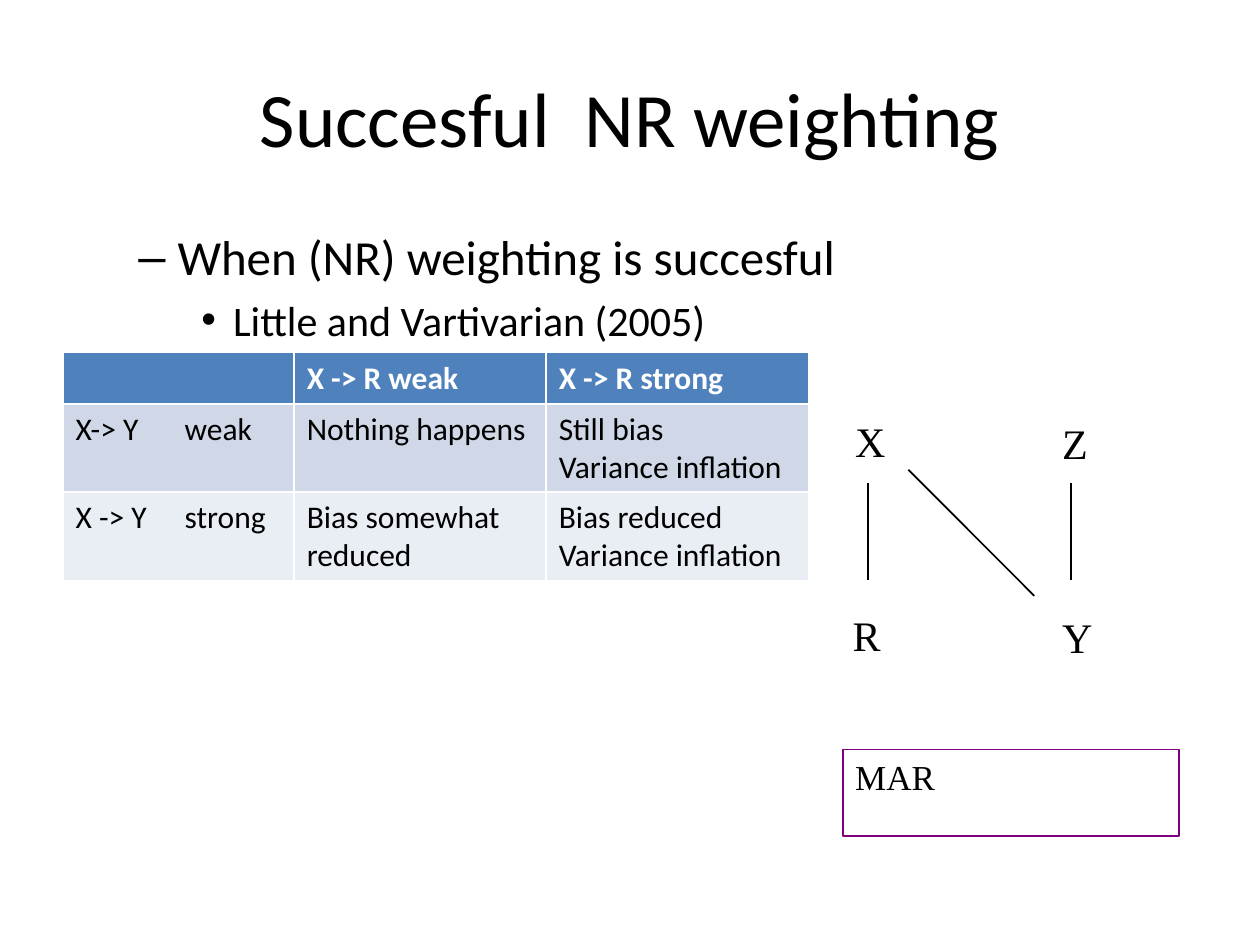
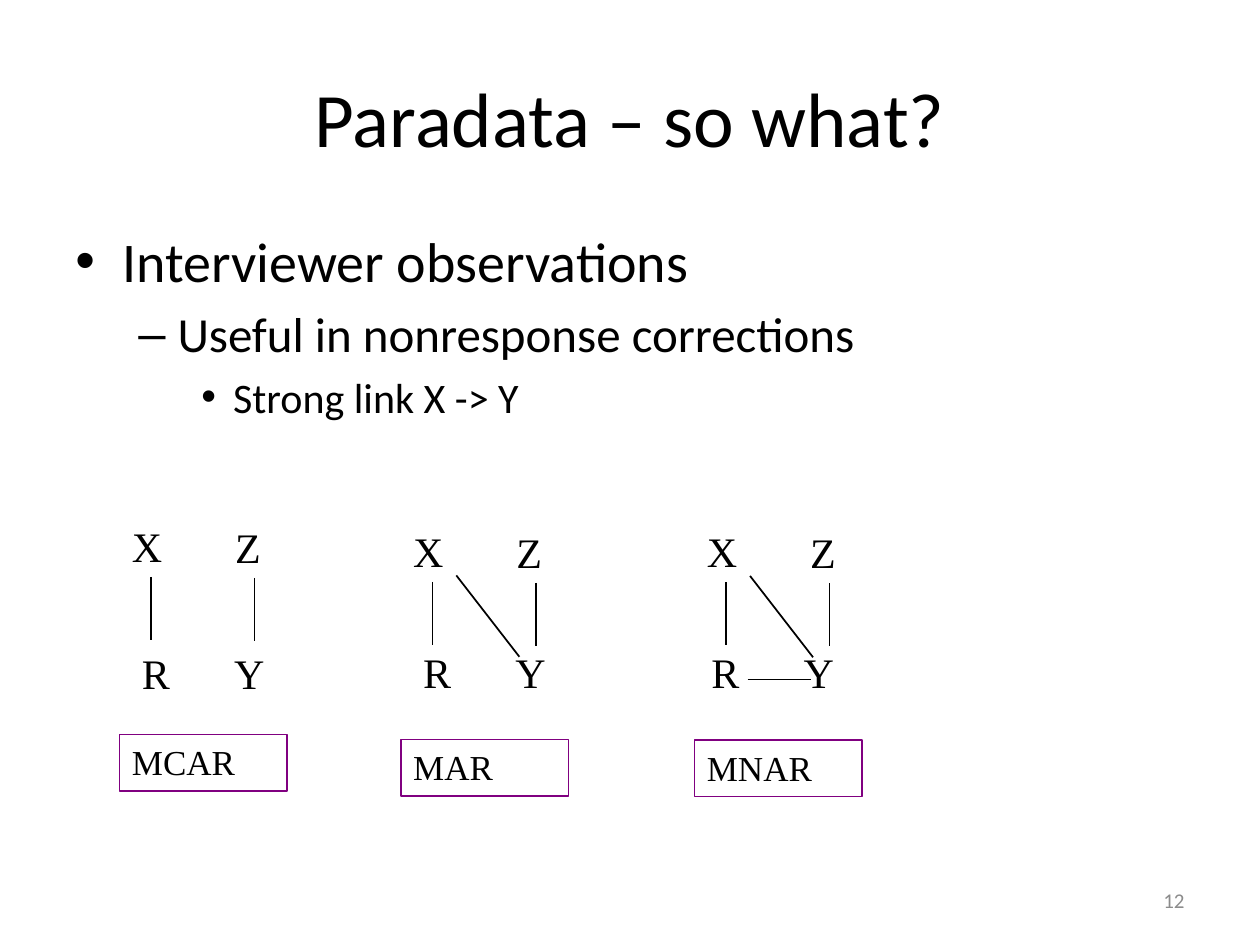
from dataclasses import dataclass, replace

from lxml import etree
from pptx import Presentation
from pptx.dml.color import RGBColor
from pptx.enum.shapes import MSO_CONNECTOR, MSO_SHAPE
from pptx.enum.text import MSO_ANCHOR, PP_ALIGN
from pptx.oxml.ns import qn
from pptx.util import Cm, Pt

LINE = MSO_CONNECTOR.STRAIGHT
RECT = MSO_SHAPE.RECTANGLE
TOP, MIDDLE = MSO_ANCHOR.TOP, MSO_ANCHOR.MIDDLE
LEFT, CENTER, RIGHT = PP_ALIGN.LEFT, PP_ALIGN.CENTER, PP_ALIGN.RIGHT
TITLE_ONLY = 5


def rgb(code):
    return RGBColor.from_string(code)


@dataclass(frozen=True)
class Theme:
    sans: str = "Calibri"
    serif: str = "Times New Roman"
    ink: RGBColor = rgb("000000")
    paper: RGBColor = rgb("FFFFFF")
    frame: RGBColor = rgb("800080")
    grey: RGBColor = rgb("8C8C8C")
    head: RGBColor = rgb("4F81BD")
    bands: tuple = (rgb("D0D8E8"), rgb("E9EDF4"))
    title: int = 44
    body: tuple = (32, 28, 24)
    node: int = 24
    label: int = 20
    cell: int = 18
    page: int = 12


@dataclass(frozen=True)
class Net:
    """Places in cm, measured from the corner of node X."""
    nodes: dict
    links: dict
    box: tuple
    wide: float


THEME = Theme()

# Bullet sign, left margin and hanging indent in cm, by outline level
MARKS = (("•", 0.95, 0.95), ("–", 2.06, 0.79), ("•", 3.18, 0.64))

LARGE = Net(
    nodes={"X": (0, 0), "Z": (4.17, 0.03), "R": (-0.05, 3.91), "Y": (4.17, 3.94)},
    links={"XR": (0.51, 1.47, 0.51, 3.43),
           "ZY": (4.6, 1.47, 4.6, 3.43),
           "XY": (1.32, 1.21, 3.86, 3.75)},
    box=(0, 6.85, 6.78, 1.75),
    wide=2.97)

SMALL = Net(
    nodes={"X": (0, 0), "Z": (2.08, 0.02), "R": (0.2, 2.44), "Y": (2.06, 2.44)},
    links={"XR": (0.64, 1.27, 0.64, 2.54),
           "ZY": (2.72, 1.29, 2.72, 2.56),
           "XY": (1.12, 1.14, 2.39, 2.78),
           "RY": (1.07, 3.23, 2.34, 3.23)},
    box=(0, 4.45, 3.38, 1.14),
    wide=1.47)


def cms(*sizes):
    return [Cm(size) for size in sizes]


def style(para, size, font, color=THEME.ink, bold=False, align=LEFT):
    para.alignment = align
    for run in para.runs:
        run.font.size = Pt(size)
        run.font.name = font
        run.font.bold = bold
        run.font.color.rgb = color


def write(frame, text, size, font, anchor=TOP, **looks):
    frame.word_wrap = True
    frame.vertical_anchor = anchor
    frame.text = text
    for para in frame.paragraphs:
        style(para, size, font, **looks)


def add_text(shapes, place, text, size, font, **looks):
    box = shapes.add_textbox(*cms(*place))
    write(box.text_frame, text, size, font, **looks)


def add_slide(deck, title):
    slide = deck.slides.add_slide(deck.slide_layouts[TITLE_ONLY])
    head = slide.shapes.title
    head.left, head.top, head.width, head.height = cms(1.27, 0.76, 22.86, 3.18)
    write(head.text_frame, title, THEME.title, THEME.sans,
          anchor=MIDDLE, align=CENTER)
    return slide


def add_mark(para, level):
    sign, left, hang = MARKS[level]
    props = para._p.get_or_add_pPr()
    props.set("marL", str(Cm(left)))
    props.set("indent", str(-Cm(hang)))
    space = etree.SubElement(props, qn("a:spcBef"))
    etree.SubElement(space, qn("a:spcPct")).set("val", "20000")
    etree.SubElement(props, qn("a:buFont")).set("typeface", "Arial")
    etree.SubElement(props, qn("a:buChar")).set("char", sign)


def add_list(slide, items):
    """Draw an outline from pairs of level and text."""
    frame = slide.shapes.add_textbox(*cms(1.27, 4.45, 22.86, 12.57)).text_frame
    frame.word_wrap = True
    frame.text = "\n".join(text for _, text in items)
    for para, (level, _) in zip(frame.paragraphs, items):
        para.level = level
        style(para, THEME.body[level], THEME.sans)
        add_mark(para, level)


def add_line(shapes, ends):
    line = shapes.add_connector(LINE, *cms(*ends))
    line.line.color.rgb = THEME.ink
    line.line.width = Pt(1)
    etree.SubElement(line._element.spPr, qn("a:effectLst"))


def add_box(shapes, place, text):
    box = shapes.add_shape(RECT, *cms(*place))
    box.shadow.inherit = False
    box.fill.background()
    box.line.color.rgb = THEME.frame
    box.line.width = Pt(1)
    write(box.text_frame, text, THEME.label, THEME.serif)


def add_net(slide, net, left, top, label, links):
    shapes = slide.shapes.add_group_shape().shapes
    for name, (x, y) in net.nodes.items():
        add_text(shapes, (left + x, top + y, net.wide, 1.27),
                 name, THEME.node, THEME.serif)
    for link in links:
        x1, y1, x2, y2 = net.links[link]
        add_line(shapes, (left + x1, top + y1, left + x2, top + y2))
    x, y, wide, high = net.box
    add_box(shapes, (left + x, top + y, wide, high), label)


def shift(net, dx, dy):
    """Move the lower nodes R and Y of a net."""
    moved = {name: (net.nodes[name][0] + dx, net.nodes[name][1] + dy)
             for name in "RY"}
    return replace(net, nodes={**net.nodes, **moved})


def add_stop(para, place):
    stops = etree.SubElement(para._p.get_or_add_pPr(), qn("a:tabLst"))
    stop = etree.SubElement(stops, qn("a:tab"))
    stop.set("pos", str(Cm(place)))
    stop.set("algn", "l")


def add_grid(slide, rows, left, top, wides, highs):
    place = cms(left, top, sum(wides), sum(highs))
    table = slide.shapes.add_table(len(rows), len(wides), *place).table
    for col, wide in zip(table.columns, wides):
        col.width = Cm(wide)
    for r, (row, high) in enumerate(zip(rows, highs)):
        table.rows[r].height = Cm(high)
        first = r == 0
        for c, text in enumerate(row):
            cell = table.cell(r, c)
            cell.fill.solid()
            cell.fill.fore_color.rgb = THEME.head if first else THEME.bands[r - 1]
            write(cell.text_frame, text, THEME.cell, THEME.sans, bold=first,
                  color=THEME.paper if first else THEME.ink)
            if "\t" in text:
                add_stop(cell.text_frame.paragraphs[0], 2.2)


def add_page(slide, number):
    add_text(slide.shapes, (18.2, 17.65, 5.93, 1.01), number, THEME.page,
             THEME.sans, anchor=MIDDLE, color=THEME.grey, align=RIGHT)


def show_weights(deck):
    slide = add_slide(deck, "Succesful  NR weighting")
    add_list(slide, [(1, "When (NR) weighting is succesful"),
                     (2, "Little and Vartivarian (2005)")])
    add_net(slide, LARGE, 16.99, 8.26, "MAR", ("XR", "ZY", "XY"))
    rows = [
        ("", "X -> R weak", "X -> R strong"),
        ("X-> Y\tweak", "Nothing happens", "Still bias\nVariance inflation"),
        ("X -> Y\tstrong", "Bias somewhat reduced",
         "Bias reduced\nVariance inflation"),
    ]
    add_grid(slide, rows, 1.27, 7.11, (4.66, 5.08, 5.29), (1.03, 1.78, 1.78))


def show_paradata(deck):
    slide = add_slide(deck, "Paradata – so what?")
    add_list(slide, [(0, "Interviewer observations"),
                     (1, "Useful in nonresponse corrections"),
                     (2, "Strong link X -> Y")])
    add_net(slide, shift(SMALL, 0, 0.13), 2.41, 10.36, "MCAR", ("XR", "ZY"))
    add_net(slide, SMALL, 8.08, 10.46, "MAR", ("XR", "ZY", "XY"))
    add_net(slide, shift(SMALL, -0.11, 0), 14, 10.47, "MNAR",
            ("XR", "ZY", "XY", "RY"))
    add_page(slide, "12")


def main():
    deck = Presentation()
    deck.slide_width, deck.slide_height = cms(25.4, 19.05)
    show_weights(deck)
    show_paradata(deck)
    deck.save("out.pptx")


if __name__ == "__main__":
    main()
